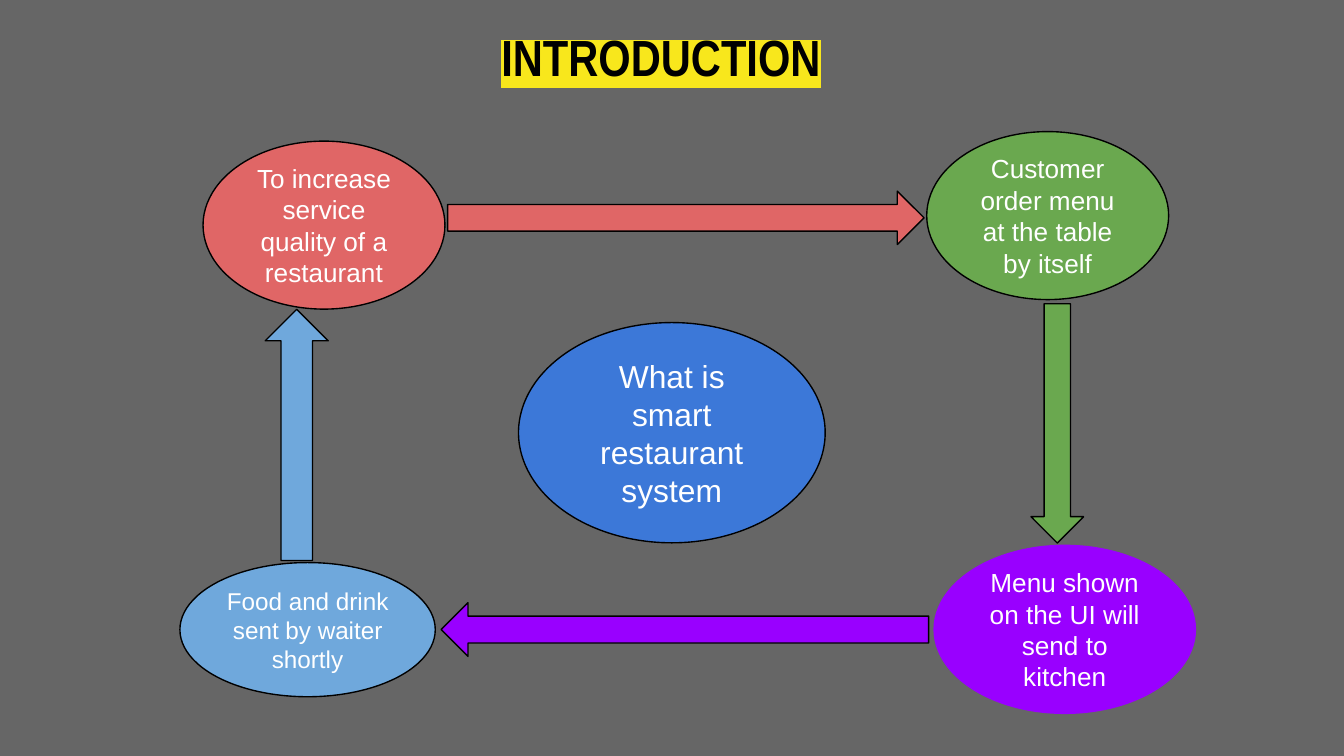
from typing import NamedTuple

from lxml import etree
from pptx import Presentation
from pptx.dml.color import RGBColor
from pptx.enum.shapes import MSO_SHAPE
from pptx.enum.text import MSO_ANCHOR, MSO_AUTO_SIZE, PP_ALIGN
from pptx.oxml.ns import qn
from pptx.util import Pt

OVAL = MSO_SHAPE.OVAL
RIGHT, DOWN = MSO_SHAPE.RIGHT_ARROW, MSO_SHAPE.DOWN_ARROW
LEFT, UP = MSO_SHAPE.LEFT_ARROW, MSO_SHAPE.UP_ARROW
CENTER = PP_ALIGN.CENTER
MIDDLE, BOTTOM = MSO_ANCHOR.MIDDLE, MSO_ANCHOR.BOTTOM
NO_AUTOFIT = MSO_AUTO_SIZE.NONE

GREY = RGBColor(0x66, 0x66, 0x66)
BLACK = RGBColor(0x00, 0x00, 0x00)
WHITE = RGBColor(0xFF, 0xFF, 0xFF)
YELLOW = RGBColor(0xF8, 0xE7, 0x1C)
BLUE = RGBColor(0x3C, 0x78, 0xD8)
SKY = RGBColor(0x6F, 0xA8, 0xDC)
GREEN = RGBColor(0x6A, 0xA8, 0x4F)
RED = RGBColor(0xE0, 0x66, 0x66)
PURPLE = RGBColor(0x99, 0x00, 0xFF)

INSET = 7.2


class Box(NamedTuple):
    left: float
    top: float
    width: float
    height: float


class Step(NamedTuple):
    text: str
    box: Box
    fill: RGBColor
    line: RGBColor = BLACK
    size: float = 14
    inset: float = INSET


class Arrow(NamedTuple):
    direction: MSO_SHAPE
    box: Box
    fill: RGBColor


# The flat waiter oval has no inset, so its text fits on three lines
STEPS = [
    Step("What is smart restaurant system", Box(277.8, 172.8, 164.3, 118), BLUE, size=17),
    Step("Food and drink sent by waiter shortly", Box(96.4, 301.4, 136.8, 71.9), SKY,
         size=13, inset=0),
    Step("Customer order menu at the table by itself", Box(496.5, 70.5, 129.6, 90), GREEN),
    Step("To increase service quality of a restaurant", Box(108.8, 75.6, 129.6, 90), RED),
    Step("Menu shown on the UI will send to kitchen", Box(500.4, 292.2, 140, 90), PURPLE, PURPLE),
]

ARROWS = [
    Arrow(RIGHT, Box(239.8, 102.4, 255.2, 28.6), RED),
    Arrow(DOWN, Box(552.3, 162.7, 28.2, 128.2), GREEN),
    Arrow(LEFT, Box(236.3, 322.9, 261.2, 28.8), PURPLE),
    Arrow(UP, Box(142.1, 165.7, 33.8, 134.6), SKY),
]


def add_outlined(slide, preset: MSO_SHAPE, box: Box, fill: RGBColor, line: RGBColor = BLACK):
    shape = slide.shapes.add_shape(preset, *map(Pt, box))
    shape.shadow.inherit = False
    shape.fill.solid()
    shape.fill.fore_color.rgb = fill
    shape.line.color.rgb = line
    shape.line.width = Pt(0.75)
    return shape


def set_frame(frame, anchor: MSO_ANCHOR, inset: float, bottom: float) -> None:
    frame.word_wrap = True
    frame.auto_size = NO_AUTOFIT
    frame.vertical_anchor = anchor
    frame.margin_left = frame.margin_right = frame.margin_top = Pt(inset)
    frame.margin_bottom = Pt(bottom)


def add_run(frame, text: str, font_name: str, size: float, color: RGBColor):
    paragraph = frame.paragraphs[0]
    paragraph.alignment = CENTER
    run = paragraph.add_run()
    run.text = text
    run.font.name = font_name
    run.font.size = Pt(size)
    run.font.color.rgb = color
    return run


def add_step(slide, step: Step) -> None:
    ellipse = add_outlined(slide, OVAL, step.box, step.fill, step.line)
    set_frame(ellipse.text_frame, MIDDLE, step.inset, step.inset)
    add_run(ellipse.text_frame, step.text, "Arial", step.size, WHITE)


def highlight(run, color: RGBColor) -> None:
    text_fill = run.font._element.find(qn("a:solidFill"))
    marker = etree.Element(qn("a:highlight"))
    etree.SubElement(marker, qn("a:srgbClr"), val=str(color))
    text_fill.addnext(marker)


def format_title(slide) -> None:
    title = slide.shapes.title
    title.left, title.top, title.width, title.height = map(Pt, Box(18.7, 6.5, 671, 45.4))
    set_frame(title.text_frame, BOTTOM, INSET, 5.2)
    heading = add_run(title.text_frame, "INTRODUCTION", "Arial Narrow", 27.2, BLACK)
    heading.font.bold = True
    highlight(heading, YELLOW)


def main() -> None:
    deck = Presentation()
    deck.slide_width, deck.slide_height = Pt(720), Pt(405)
    slide = deck.slides.add_slide(deck.slide_layouts[5])
    slide.background.fill.solid()
    slide.background.fill.fore_color.rgb = GREY

    format_title(slide)

    # Central question and the four steps around it
    for step in STEPS:
        add_step(slide, step)

    # Clockwise arrows between the steps
    for arrow in ARROWS:
        add_outlined(slide, arrow.direction, arrow.box, arrow.fill)

    deck.save("out.pptx")


if __name__ == "__main__":
    main()
